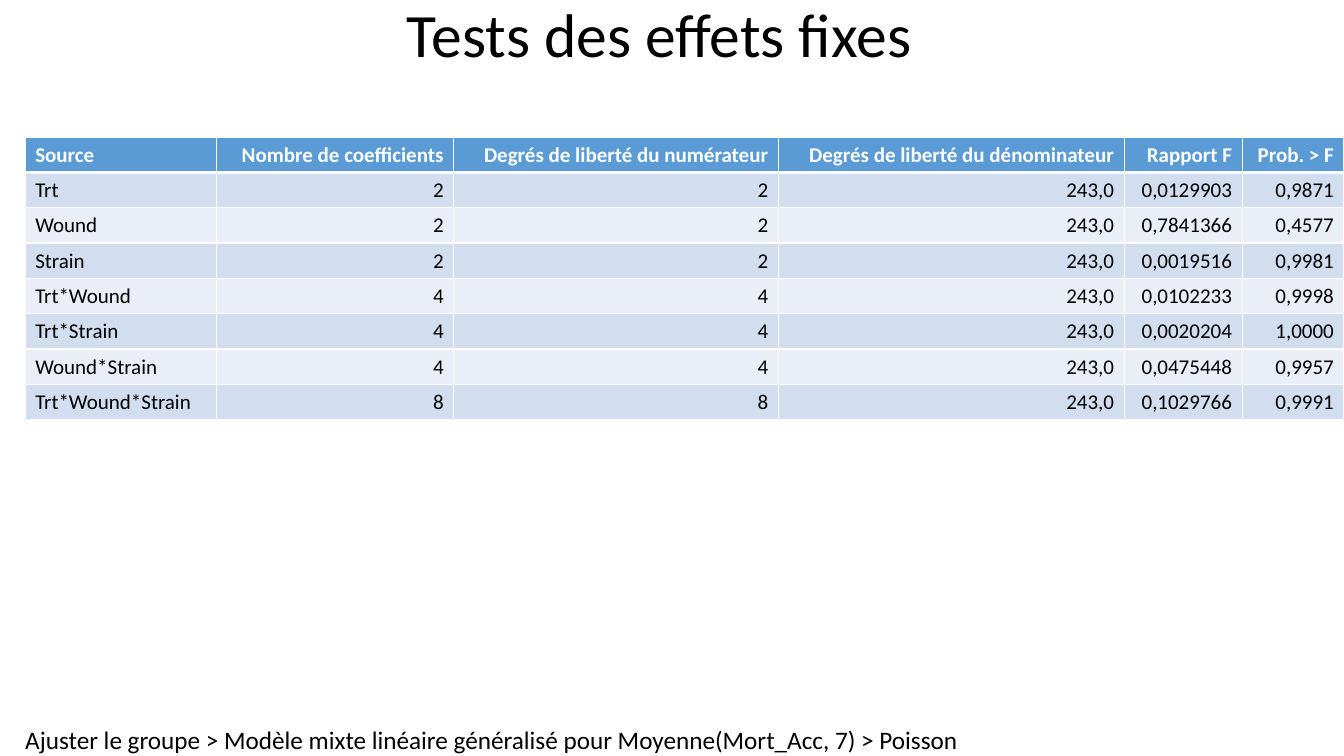
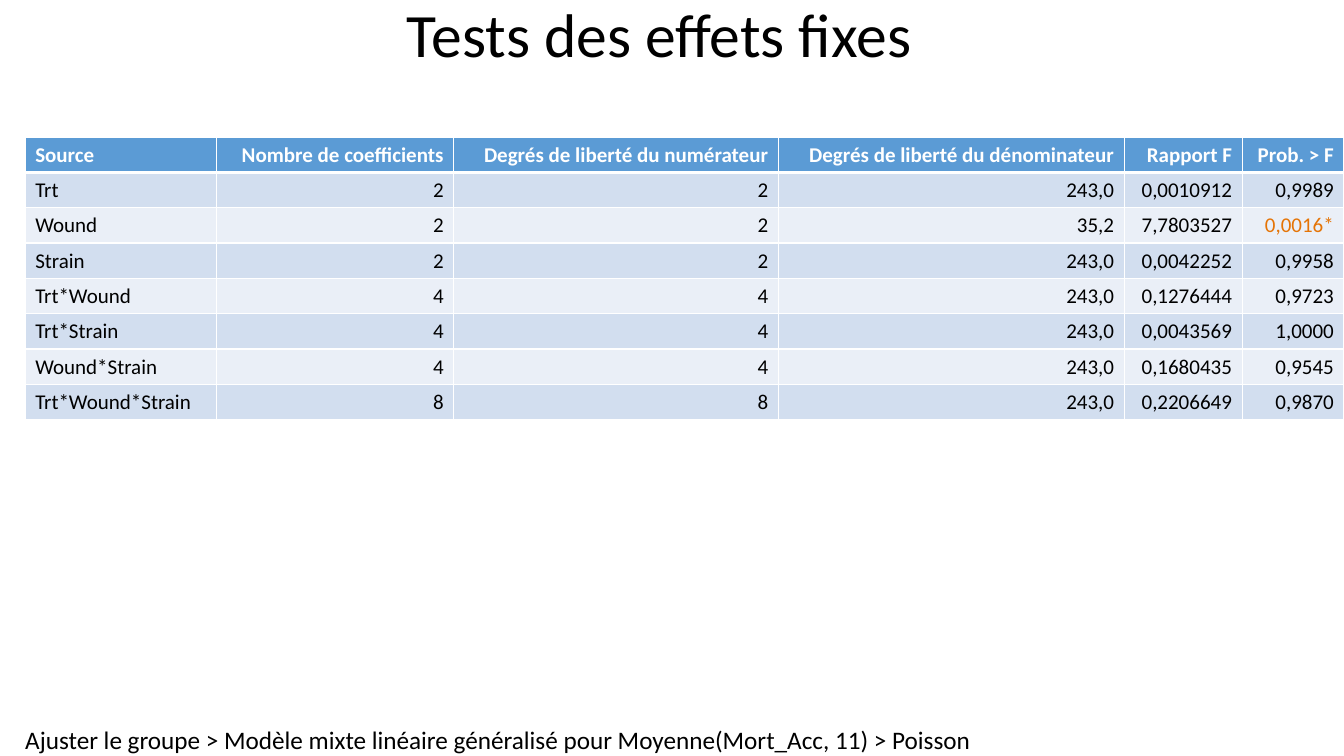
import pptx
import pptx.dml.color
import pptx.enum.text
import pptx.oxml
import pptx.oxml.ns
import pptx.util
from pptx.util import Inches

ALIGN = pptx.enum.text.PP_ALIGN
FONT = "Calibri"
BLACK, WHITE, ORANGE = "000000", "FFFFFF", "E57406"
HEADER_FILL, BAND_FILLS = "5B9BD5", ("D2DEEF", "EAEFF7")

TITLE = "Tests des effets fixes"
FOOTER = "Ajuster le groupe > Modèle mixte linéaire généralisé pour Moyenne(Mort_Acc, {}) > Poisson"
HEADERS = ("Source", "Nombre de coefficients", "Degrés de liberté du numérateur",
           "Degrés de liberté du dénominateur", "Rapport F", "Prob. > F")
COL_WIDTHS = (1.9, 2.35, 3.22, 3.43, 1.17, 1.01)
ROW_HEIGHT = 0.35

# Source and its number of coefficients, which is also the numerator's degrees of freedom
SOURCES = (("Trt", "2"), ("Wound", "2"), ("Strain", "2"), ("Trt*Wound", "4"),
           ("Trt*Strain", "4"), ("Wound*Strain", "4"), ("Trt*Wound*Strain", "8"))

# Denominator's degrees of freedom, F ratio and probability, in the order of SOURCES
SLIDES = (
    {"day": 7, "footer_width": 9.29, "results": (
        ("243,0", "0,0129903", "0,9871"),
        ("243,0", "0,7841366", "0,4577"),
        ("243,0", "0,0019516", "0,9981"),
        ("243,0", "0,0102233", "0,9998"),
        ("243,0", "0,0020204", "1,0000"),
        ("243,0", "0,0475448", "0,9957"),
        ("243,0", "0,1029766", "0,9991"))},
    {"day": 11, "footer_width": 9.41, "results": (
        ("243,0", "0,0010912", "0,9989"),
        ("35,2", "7,7803527", "0,0016*"),
        ("243,0", "0,0042252", "0,9958"),
        ("243,0", "0,1276444", "0,9723"),
        ("243,0", "0,0043569", "1,0000"),
        ("243,0", "0,1680435", "0,9545"),
        ("243,0", "0,2206649", "0,9870"))},
)


def rgb(color):
    return pptx.dml.color.RGBColor.from_string(color)


def write(tf, text, size, color=BLACK, bold=False, align=ALIGN.LEFT, spacing=None):
    p = tf.paragraphs[0]
    p.alignment, p.line_spacing = align, spacing
    r = p.add_run()
    r.text = text
    r.font.name, r.font.size, r.font.bold = FONT, pptx.util.Pt(size), bold
    r.font.color.rgb = rgb(color)


def set_borders(cell, top=1, bottom=1):
    """Draw white cell borders; widths are in points."""
    tc_pr = cell._tc.get_or_add_tcPr()
    sides = (("lnL", 1), ("lnR", 1), ("lnT", top), ("lnB", bottom))
    for i, (side, width) in enumerate(sides):
        tc_pr.insert(i, pptx.oxml.parse_xml(
            f'<a:{side} {pptx.oxml.ns.nsdecls("a")} w="{pptx.util.Pt(width)}">'
            f'<a:solidFill><a:srgbClr val="{WHITE}"/></a:solidFill></a:{side}>'))


def add_title(s):
    sp = s.shapes.title
    sp.left, sp.top, sp.width, sp.height = 0, 0, Inches(13.08), Inches(0.75)
    tf = sp.text_frame
    tf.auto_size = pptx.enum.text.MSO_AUTO_SIZE.NONE
    tf.vertical_anchor = pptx.enum.text.MSO_ANCHOR.MIDDLE
    write(tf, TITLE, 44, align=ALIGN.CENTER, spacing=0.9)


def add_footer(s, day, width):
    tf = s.shapes.add_textbox(Inches(0.25), Inches(7.19), Inches(width), Inches(0.31)).text_frame
    tf.margin_left = tf.margin_top = tf.margin_right = tf.margin_bottom = 0
    tf.word_wrap = False
    tf.auto_size = pptx.enum.text.MSO_AUTO_SIZE.SHAPE_TO_FIT_TEXT
    write(tf, FOOTER.format(day), 18)


def add_results(s, results):
    rows = [HEADERS] + [(name, n, n, *res) for (name, n), res in zip(SOURCES, results)]
    table = s.shapes.add_table(len(rows), len(HEADERS), Inches(0.25), Inches(1.36),
                               Inches(sum(COL_WIDTHS)), Inches(ROW_HEIGHT * len(rows))).table
    for col, width in zip(table.columns, COL_WIDTHS):
        col.width = Inches(width)
    for i, row in enumerate(rows):
        header = i == 0
        for j, text in enumerate(row):
            cell = table.cell(i, j)
            cell.fill.solid()
            cell.fill.fore_color.rgb = rgb(HEADER_FILL if header else BAND_FILLS[(i - 1) % 2])
            set_borders(cell, top=3 if i == 1 else 1, bottom=3 if header else 1)
            significant = text.endswith("*")
            color = WHITE if header else ORANGE if significant else BLACK
            write(cell.text_frame, text, 15, color, bold=header,
                  align=ALIGN.RIGHT if j else ALIGN.LEFT)


def main():
    prs = pptx.Presentation()
    prs.slide_width, prs.slide_height = Inches(13.33), Inches(7.5)
    for content in SLIDES:
        s = prs.slides.add_slide(prs.slide_layouts[5])
        add_title(s)
        add_footer(s, content["day"], content["footer_width"])
        add_results(s, content["results"])
    prs.save("out.pptx")


if __name__ == "__main__":
    main()
